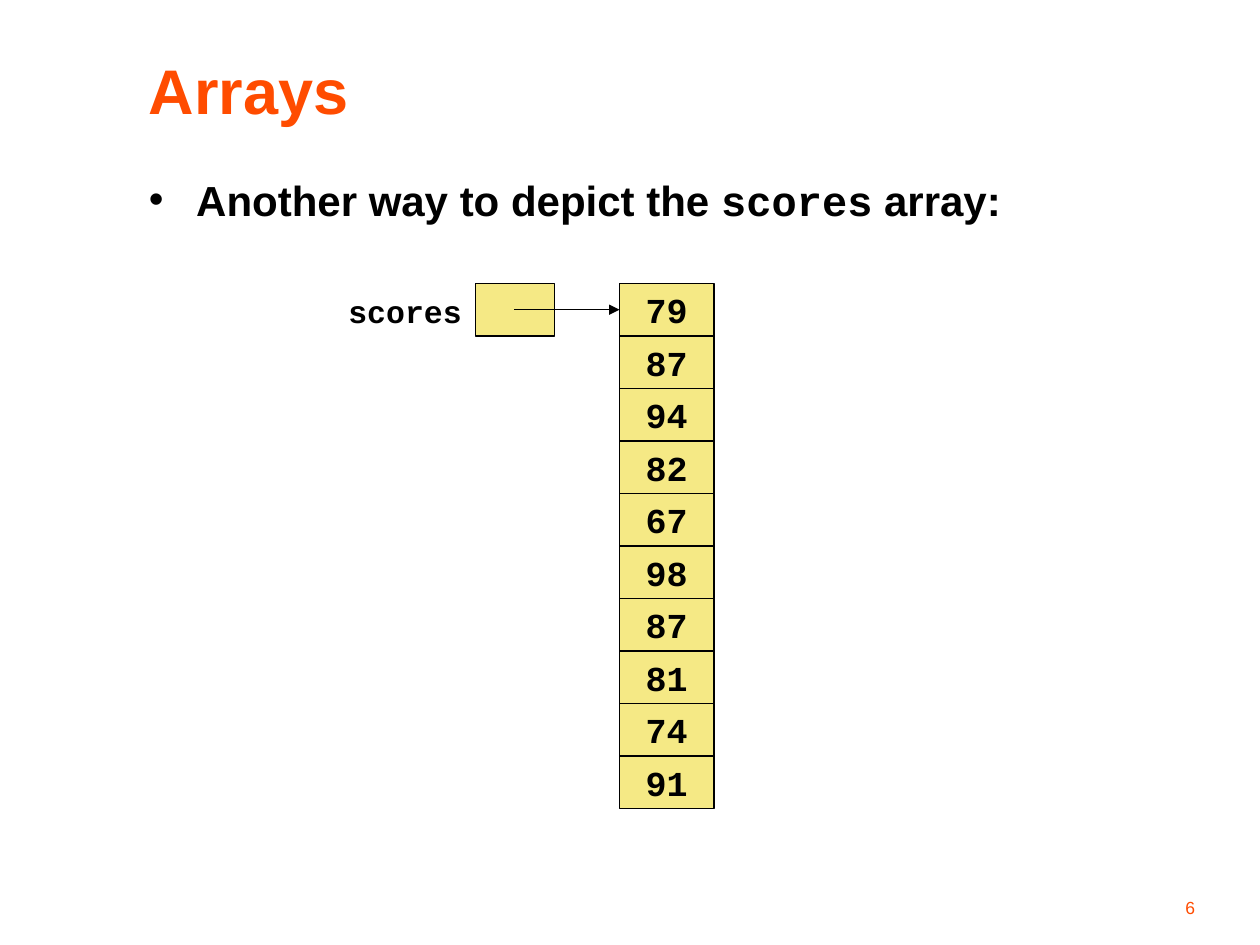
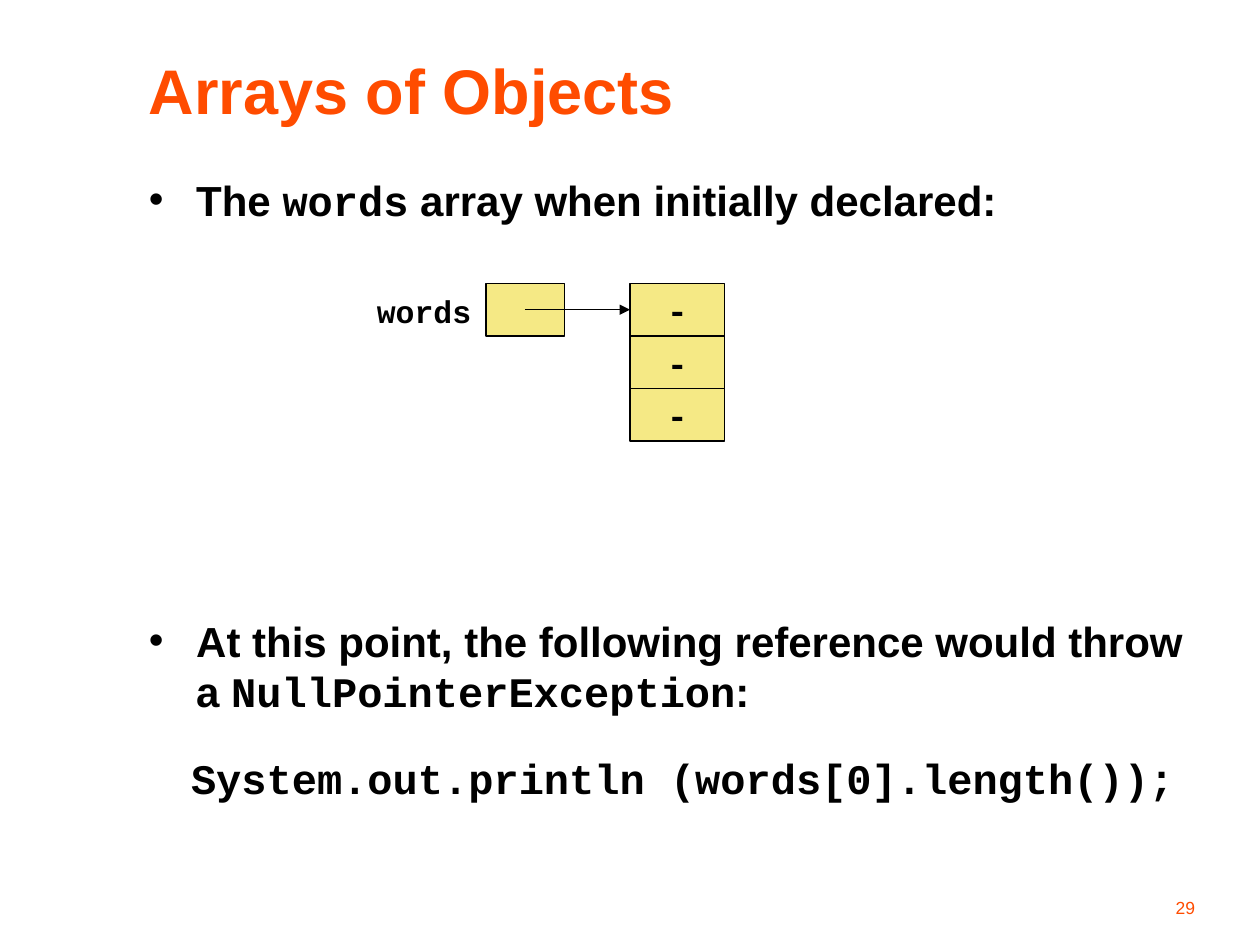
import dataclasses
import lxml.etree
import pptx
import pptx.dml.color
import pptx.enum.shapes
import pptx.enum.text
import pptx.oxml.ns
import pptx.presentation
import pptx.shapes.autoshape
import pptx.slide
import pptx.text.text
import pptx.util

PX = 914400 // 120
INK = {"title": "FF4C00", "text": "000000", "cell": "F5E985", "line": "000000"}
SANS, MONO = "Arial", "Courier New"
LEFT, WIDE = 130, 1040
TOP, ROW = 270, 50
CELL, SLOT, REACH = 90, 75, 137
HANG = 45

ALIGN = pptx.enum.text.PP_ALIGN
ANCHOR = pptx.enum.text.MSO_ANCHOR
Para = pptx.text.text._Paragraph
Slide = pptx.slide.Slide


@dataclasses.dataclass(frozen=True)
class Box:
    left: int
    top: int
    width: int
    height: int

    def emu(self) -> list[int]:
        return [n * PX for n in dataclasses.astuple(self)]


@dataclasses.dataclass(frozen=True)
class Point:
    """A bullet made of plain text, a code word and plain text."""
    before: str
    code: str
    after: str


@dataclasses.dataclass(frozen=True)
class Array:
    name: str
    left: int
    label: Box
    items: list[str]


def color(key: str) -> pptx.dml.color.RGBColor:
    return pptx.dml.color.RGBColor.from_string(INK[key])


def style(para: Para, size: int, face: str | None = SANS,
          ink: str = "text", bold: bool = True) -> None:
    font = para.font
    font.size = pptx.util.Pt(size)
    font.bold = bold
    font.color.rgb = color(ink)
    if face:
        font.name = face


def add_text(slide: Slide, box: Box, anchor: ANCHOR = ANCHOR.TOP,
             wrap: bool = True) -> pptx.text.text.TextFrame:
    frame = slide.shapes.add_textbox(*box.emu()).text_frame
    frame.word_wrap = wrap
    frame.vertical_anchor = anchor
    return frame


def indent(para: Para) -> None:
    props = para._p.get_or_add_pPr()
    props.set("marL", str(HANG * PX))
    props.set("indent", str(-HANG * PX))


def add_point(para: Para, point: Point) -> None:
    indent(para)
    props = para._p.get_or_add_pPr()
    tag = pptx.oxml.ns.qn
    tint = lxml.etree.SubElement(props, tag("a:buClr"))
    lxml.etree.SubElement(tint, tag("a:srgbClr"), val=INK["text"])
    lxml.etree.SubElement(props, tag("a:buFont"), typeface=SANS)
    lxml.etree.SubElement(props, tag("a:buChar"), char="•")
    style(para, 24, None)
    parts = (point.before, SANS), (point.code, MONO), (point.after, SANS)
    for text, face in parts:
        run = para.add_run()
        run.text = text
        run.font.name = face


def add_rect(slide: Slide, box: Box) -> pptx.shapes.autoshape.Shape:
    kind = pptx.enum.shapes.MSO_SHAPE.RECTANGLE
    rect = slide.shapes.add_shape(kind, *box.emu())
    rect.shadow.inherit = False
    rect.fill.solid()
    rect.fill.fore_color.rgb = color("cell")
    rect.line.color.rgb = color("line")
    rect.line.width = pptx.util.Pt(0.75)
    return rect


def add_cell(slide: Slide, box: Box, text: str) -> pptx.shapes.autoshape.Shape:
    rect = add_rect(slide, box)
    frame = rect.text_frame
    frame.word_wrap = False
    frame.vertical_anchor = ANCHOR.MIDDLE
    para = frame.paragraphs[0]
    para.text = text
    para.alignment = ALIGN.CENTER
    style(para, 20, MONO)
    return rect


def add_arrow(slide: Slide, start: int, first: pptx.shapes.autoshape.Shape) -> None:
    """Draw an arrow from inside the name's slot to the first cell."""
    mid = (TOP + ROW // 2) * PX
    kind = pptx.enum.shapes.MSO_CONNECTOR.STRAIGHT
    arrow = slide.shapes.add_connector(kind, start * PX, mid, first.left, mid)
    arrow.end_connect(first, 1)
    arrow.line.color.rgb = color("line")
    arrow.line.width = pptx.util.Pt(0.75)
    tag = pptx.oxml.ns.qn
    line = arrow.line._get_or_add_ln()
    lxml.etree.SubElement(line, tag("a:tailEnd"), type="triangle")
    lxml.etree.SubElement(arrow._element.spPr, tag("a:effectLst"))


def add_array(slide: Slide, array: Array) -> None:
    slot = array.left - REACH
    add_rect(slide, Box(slot, TOP, SLOT, ROW))
    para = add_text(slide, array.label, wrap=False).paragraphs[0]
    para.text = array.name
    style(para, 18, MONO)
    cells = [add_cell(slide, Box(array.left, TOP + i * ROW, CELL, ROW), item)
             for i, item in enumerate(array.items)]
    add_arrow(slide, slot + SLOT // 2, cells[0])


def add_slide(deck: pptx.presentation.Presentation, title: str, point: Point,
              array: Array, number: int) -> Slide:
    slide = deck.slides.add_slide(deck.slide_layouts[6])
    head = add_text(slide, Box(LEFT, 40, WIDE, 90), ANCHOR.MIDDLE).paragraphs[0]
    head.text = title
    style(head, 36, ink="title")
    body = add_text(slide, Box(LEFT, 160, WIDE, 90))
    add_point(body.paragraphs[0], point)
    add_array(slide, array)
    foot = add_text(slide, Box(900, 830, 250, 50), ANCHOR.BOTTOM).paragraphs[0]
    foot.text = str(number)
    foot.alignment = ALIGN.RIGHT
    style(foot, 10, ink="title", bold=False)
    return slide


def add_code(slide: Slide, point: Point, code: str) -> None:
    frame = add_text(slide, Box(LEFT, 580, WIDE, 220))
    add_point(frame.paragraphs[0], point)
    para = frame.add_paragraph()
    para.text = code
    para.alignment = ALIGN.CENTER
    para.space_before = pptx.util.Pt(21)
    indent(para)
    style(para, 24, MONO)


def main() -> None:
    deck = pptx.Presentation()
    deck.slide_width, deck.slide_height = 1200 * PX, 900 * PX
    scores = Array("scores", 590, Box(320, 272, 132, 48),
                   "79 87 94 82 67 98 87 81 74 91".split())
    words = Array("words", 600, Box(347, 272, 114, 48), ["-"] * 3)
    add_slide(deck, "Arrays",
              Point("Another way to depict the ", "scores", " array:"), scores, 6)
    slide = add_slide(deck, "Arrays of Objects",
                      Point("The ", "words", " array when initially declared:"),
                      words, 29)
    add_code(slide,
             Point("At this point, the following reference would throw a ",
                   "NullPointerException", ":"),
             "System.out.println (words[0].length());")
    deck.save("out.pptx")


if __name__ == "__main__":
    main()
